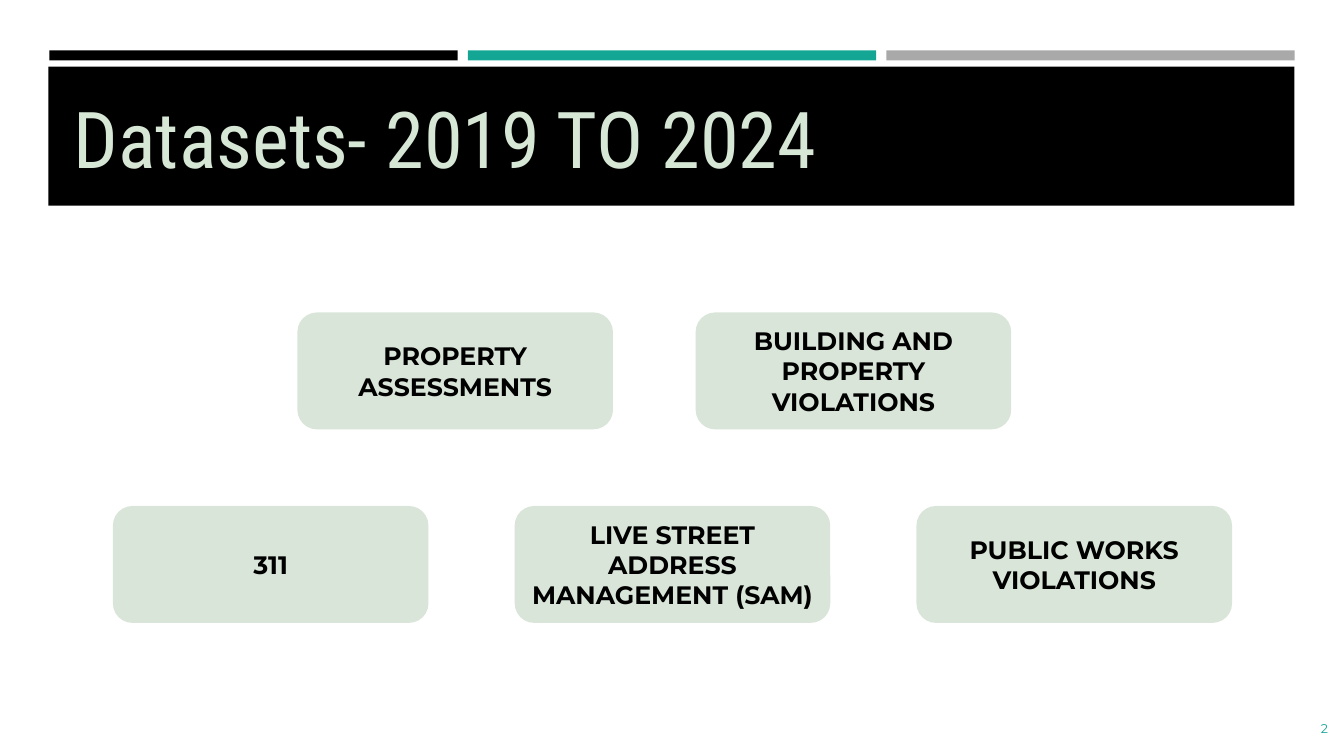
import pptx
import pptx.util
import pptx.dml.color
import pptx.enum.shapes
import pptx.enum.text
from dataclasses import dataclass

Inches = pptx.util.Inches
MSO_SHAPE = pptx.enum.shapes.MSO_SHAPE
ALIGN = pptx.enum.text.PP_ALIGN
ANCHOR = pptx.enum.text.MSO_ANCHOR


@dataclass(frozen=True)
class Theme:
    black: str = "000000"
    teal: str = "13A694"
    gray: str = "A9A9A9"
    card: str = "D9E5D8"
    title: str = "D7E7D6"
    head_font: str = "Roboto Condensed"
    body_font: str = "Montserrat"
    title_size: int = 56
    card_size: int = 18
    number_size: int = 9


THEME = Theme()
CARD_W, CARD_H = 3.13, 1.16

# Each row: top, left of first card, step between cards, labels
CARD_ROWS = [
    (3.10, 2.95, 3.95, ["PROPERTY ASSESSMENTS", "BUILDING AND PROPERTY VIOLATIONS"]),
    (5.02, 1.12, 3.985, ["311", "LIVE STREET ADDRESS MANAGEMENT (SAM)",
                         "PUBLIC WORKS\nVIOLATIONS"]),
]


def rgb(value):
    return pptx.dml.color.RGBColor.from_string(value)


def write_text(sp, text, *, size, color, font=THEME.body_font, bold=False,
               align=ALIGN.LEFT, anchor=ANCHOR.MIDDLE):
    """Fill a shape with text, one paragraph per line."""
    tf = sp.text_frame
    tf.text = text
    tf.word_wrap = True
    tf.auto_size = pptx.enum.text.MSO_AUTO_SIZE.NONE
    tf.vertical_anchor = anchor
    for p in tf.paragraphs:
        p.alignment = align
        for r in p.runs:
            r.font.name = font
            r.font.size = pptx.util.Pt(size)
            r.font.bold = bold
            r.font.color.rgb = rgb(color)


def add_block(s, left, top, width, height, fill, kind=MSO_SHAPE.RECTANGLE):
    sp = s.shapes.add_shape(kind, Inches(left), Inches(top), Inches(width), Inches(height))
    sp.shadow.inherit = False
    sp.fill.solid()
    sp.fill.fore_color.rgb = rgb(fill)
    sp.line.fill.background()
    return sp


def add_header(s):
    # Three accent bars above the title band
    for i, color in enumerate([THEME.black, THEME.teal, THEME.gray]):
        add_block(s, 0.49 + i * 4.15, 0.5, 4.05, 0.1, color)
    add_block(s, 0.48, 0.66, 12.36, 1.38, THEME.black)


def add_title(s, text):
    sp = s.shapes.title
    sp.left, sp.top = Inches(0.63), Inches(0.8)
    sp.width, sp.height = Inches(12.06), Inches(1.08)
    write_text(sp, text, size=THEME.title_size, color=THEME.title,
               font=THEME.head_font, anchor=ANCHOR.BOTTOM)
    # Bring the title in front of the band
    sp.element.getparent().append(sp.element)


def add_card(s, left, top, label):
    sp = add_block(s, left, top, CARD_W, CARD_H, THEME.card, MSO_SHAPE.ROUNDED_RECTANGLE)
    write_text(sp, label, size=THEME.card_size, color=THEME.black, bold=True,
               align=ALIGN.CENTER)


def add_page_number(s, number):
    sp = s.shapes.add_textbox(Inches(12.12), Inches(7.03), Inches(1.15), Inches(0.4))
    write_text(sp, number, size=THEME.number_size, color=THEME.teal, align=ALIGN.RIGHT)


def main():
    prs = pptx.Presentation()
    prs.slide_width, prs.slide_height = Inches(13.33), Inches(7.5)
    s = prs.slides.add_slide(prs.slide_layouts.get_by_name("Title Only"))

    add_header(s)
    add_title(s, "Datasets- 2019 TO 2024")

    # Dataset cards
    for top, left, step, labels in CARD_ROWS:
        for i, label in enumerate(labels):
            add_card(s, left + i * step, top, label)

    add_page_number(s, "2")
    prs.save("out.pptx")


if __name__ == "__main__":
    main()
